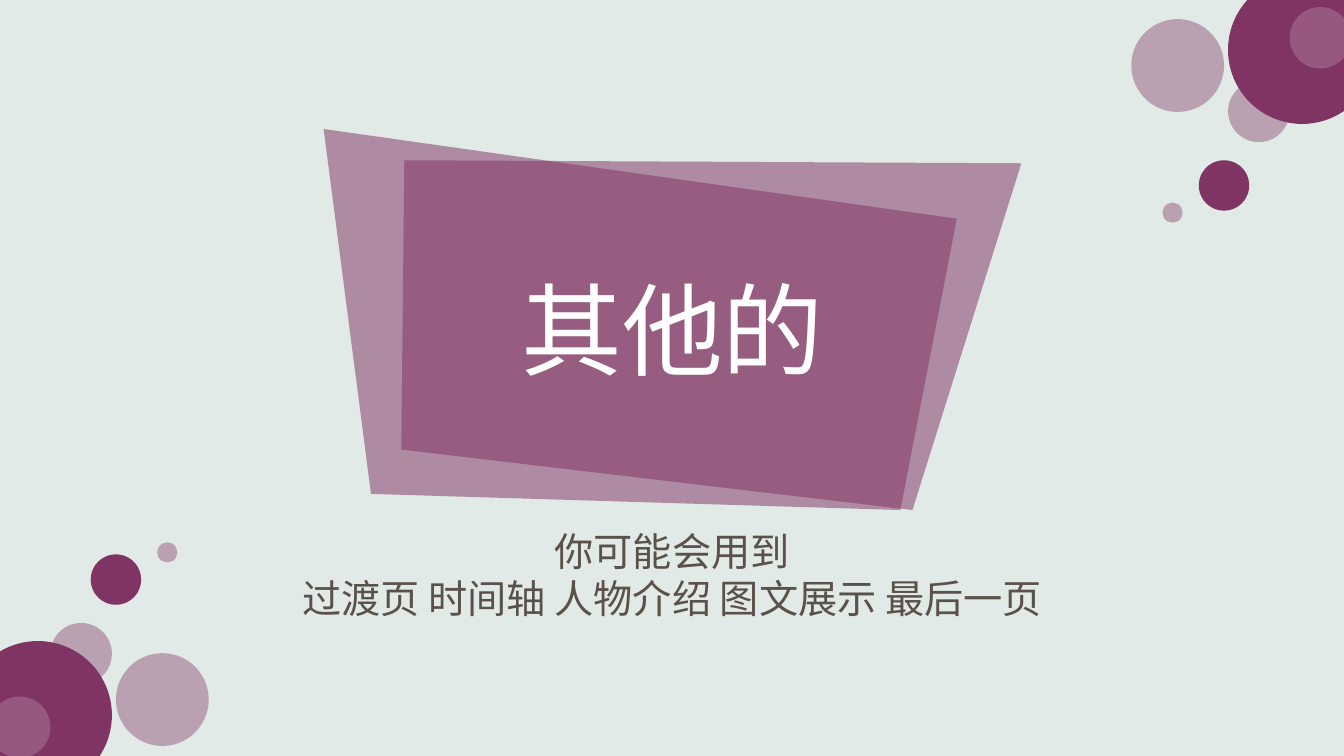
from lxml import etree
from pptx import Presentation
from pptx.dml.color import RGBColor
from pptx.enum import shapes, text
from pptx.oxml import ns
from pptx.util import Inches, Pt

PLUM = RGBColor(0x80, 0x34, 0x63)
WHITE = RGBColor(0xFF, 0xFF, 0xFF)
BROWN = RGBColor(0x5A, 0x51, 0x4A)
MIST = RGBColor(0xE1, 0xEA, 0xE7)
FONT = "Noto Sans CJK JP"

# Top-right bubbles: left, top, diameter, colour, opacity in percent
BUBBLES = [
    (11.53, 2.01, 0.2, PLUM, 40),
    (11.89, 1.59, 0.5, PLUM, 100),
    (11.22, 0.19, 0.92, PLUM, 40),
    (12.18, -0.24, 1.47, PLUM, 100),
    (12.18, 0.8, 0.61, PLUM, 40),
    (12.79, 0.07, 0.61, WHITE, 18),
]
# The bottom-left cluster is the same one turned by 180 degrees
TURN_X, TURN_Y = 13.29, 7.59

PANELS = [
    [(3.21, 1.28), (9.49, 2.17), (8.93, 5.06), (3.68, 4.9)],
    [(4.01, 1.59), (10.13, 1.62), (9.05, 5.06), (3.98, 4.46)],
]
PANEL_OPACITY = 52

# Box (left, top, width, height), size, colour, lines
CAPTIONS = [
    ((4.53, 2.61, 4.28, 1.31), 72, WHITE, ["其他的"]),
    ((2.66, 5.18, 8.01, 1.04), 28, BROWN,
     ["你可能会用到", "过渡页 时间轴 人物介绍 图文展示 最后一页"]),
]


def paint(shape, colour, opacity):
    shape.shadow.inherit = False
    shape.line.fill.background()
    shape.fill.solid()
    shape.fill.fore_color.rgb = colour
    if opacity < 100:
        srgb = shape.fill._xPr.find(".//" + ns.qn("a:srgbClr"))
        etree.SubElement(srgb, ns.qn("a:alpha"), val=str(opacity * 1000))


def add_bubble(slide, left, top, diameter, colour, opacity):
    bubble = slide.shapes.add_shape(
        shapes.MSO_SHAPE.OVAL, *map(Inches, (left, top, diameter, diameter)))
    paint(bubble, colour, opacity)


def add_panel(slide, corners):
    start, *others = [(Inches(x), Inches(y)) for x, y in corners]
    builder = slide.shapes.build_freeform(*start)
    builder.add_line_segments(others, close=True)
    paint(builder.convert_to_shape(), PLUM, PANEL_OPACITY)


def add_caption(slide, box, size, colour, lines):
    frame = slide.shapes.add_textbox(*map(Inches, box)).text_frame
    frame.word_wrap = True
    frame.text = "\n".join(lines)
    for paragraph in frame.paragraphs:
        paragraph.alignment = text.PP_ALIGN.CENTER
        for run in paragraph.runs:
            run.font.size = Pt(size)
            run.font.color.rgb = colour
            run.font.name = FONT
            etree.SubElement(run.font._element, ns.qn("a:ea"), typeface=FONT)


def main():
    deck = Presentation()
    deck.slide_width, deck.slide_height = Inches(13.33), Inches(7.5)
    slide = deck.slides.add_slide(deck.slide_layouts[6])
    slide.background.fill.solid()
    slide.background.fill.fore_color.rgb = MIST

    for left, top, diameter, *look in BUBBLES:
        add_bubble(slide, TURN_X - left - diameter, TURN_Y - top - diameter,
                   diameter, *look)
    for bubble in BUBBLES:
        add_bubble(slide, *bubble)
    for corners in PANELS:
        add_panel(slide, corners)
    for caption in CAPTIONS:
        add_caption(slide, *caption)
    deck.save("out.pptx")


if __name__ == "__main__":
    main()
